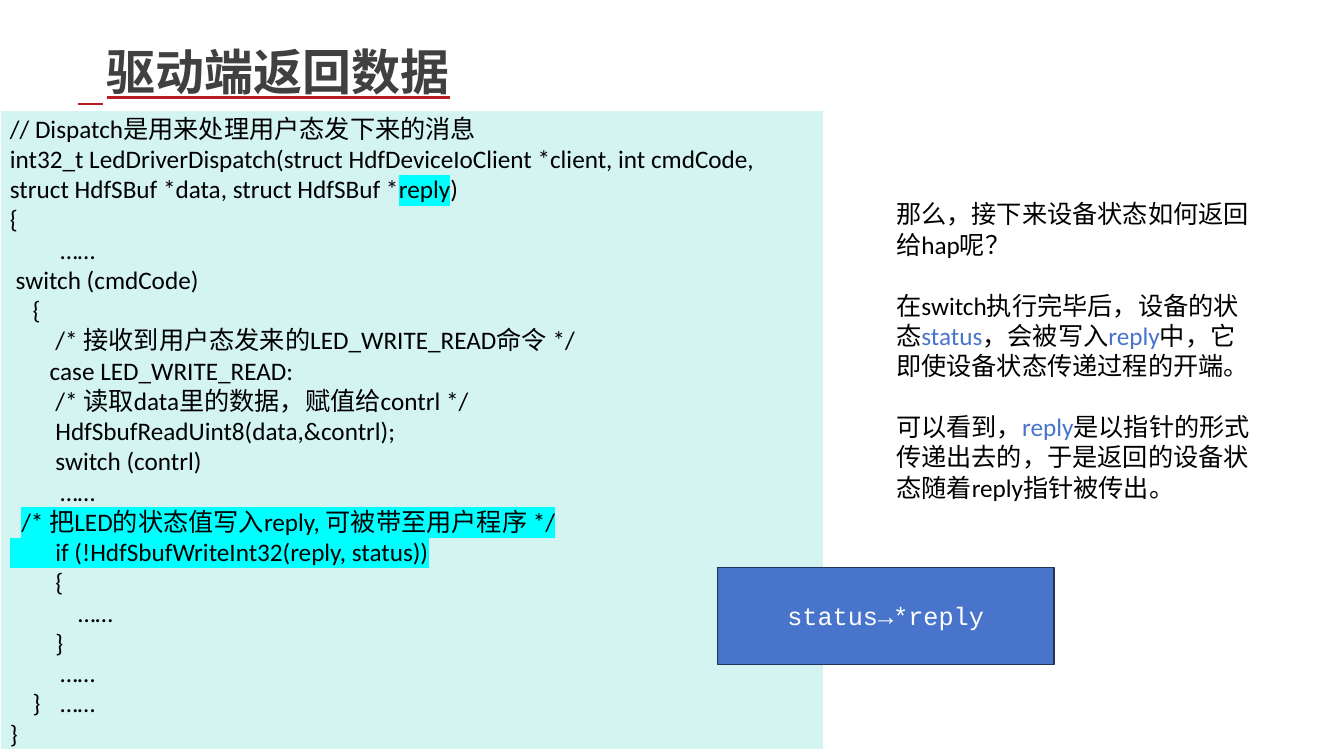
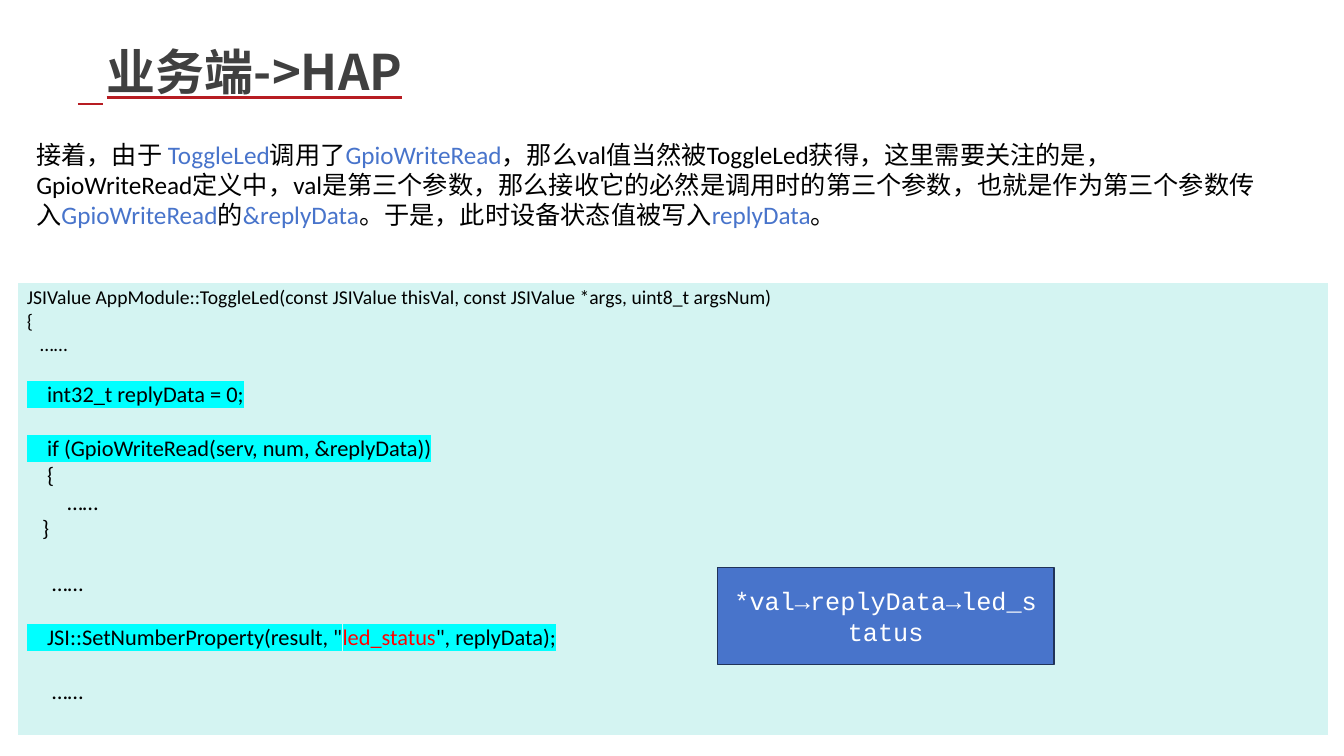
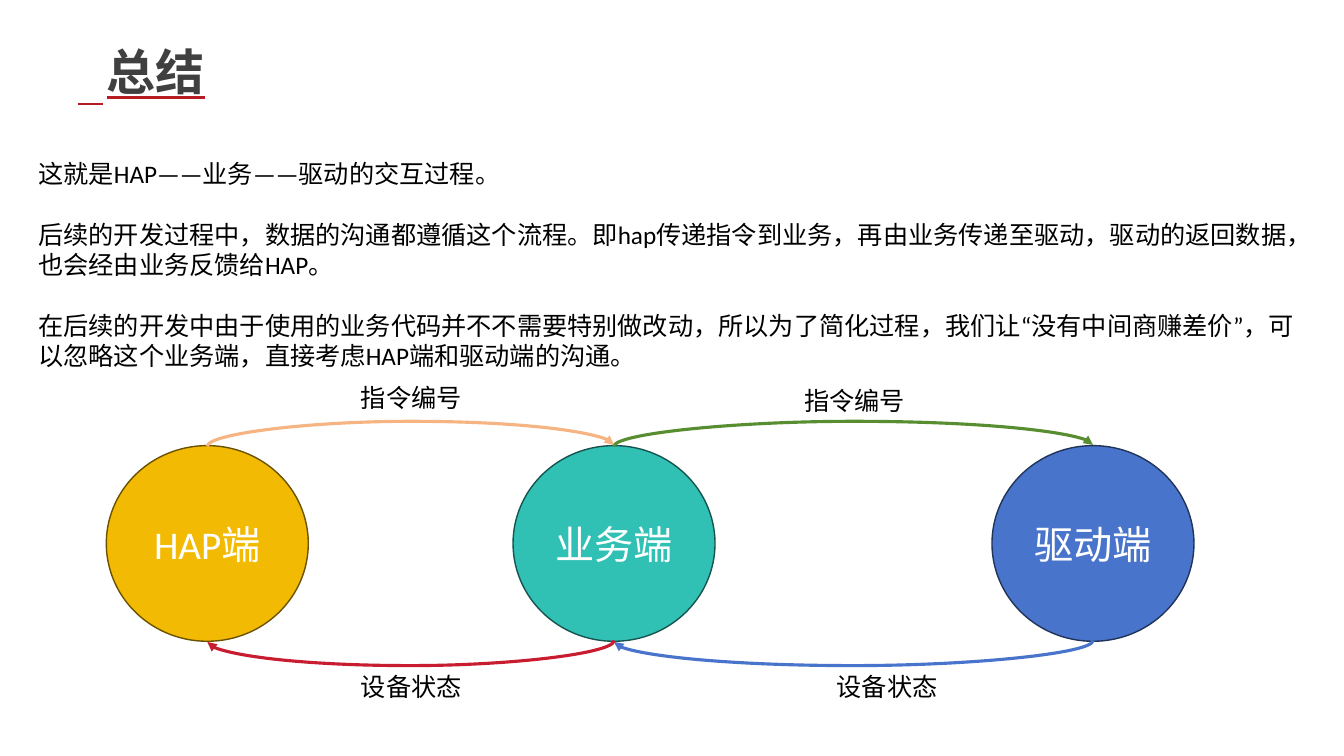
from dataclasses import dataclass

from lxml import etree
from pptx import Presentation
from pptx.dml.color import RGBColor
from pptx.enum.shapes import MSO_CONNECTOR, MSO_SHAPE
from pptx.enum.text import MSO_ANCHOR, MSO_AUTO_SIZE, PP_ALIGN
from pptx.oxml.ns import qn
from pptx.util import Cm, Pt

RECTANGLE, ELLIPSE = MSO_SHAPE.RECTANGLE, MSO_SHAPE.OVAL
STRAIGHT, CURVE = MSO_CONNECTOR.STRAIGHT, MSO_CONNECTOR.CURVE
TOP, MIDDLE = MSO_ANCHOR.TOP, MSO_ANCHOR.MIDDLE
LEFT, CENTER = PP_ALIGN.LEFT, PP_ALIGN.CENTER
NO_AUTOFIT = MSO_AUTO_SIZE.NONE
ELLIPSE_TOP, ELLIPSE_BOTTOM = 0, 4


@dataclass(frozen=True)
class Theme:
    text: str = "000000"
    title: str = "404040"
    underline: str = "B71C22"
    white: str = "FFFFFF"
    panel: str = "D4F4F2"
    marker: str = "00FFFF"
    alert: str = "FF0000"
    blue: str = "4874CB"
    blue_edge: str = "203359"
    gold: str = "F2BA02"
    gold_edge: str = "6A5201"
    teal: str = "30C0B4"
    teal_edge: str = "15544F"
    orange: str = "F5B482"
    green: str = "588E31"
    red: str = "C81D31"
    body_font: str = "Calibri"
    title_font: str = "Noto Sans CJK SC"
    code_font: str = "Courier New"
    title_size: int = 35
    node_size: int = 28
    body_size: int = 18
    code_size: int = 16
    small_size: int = 14
    line_height: float = 1.22


THEME = Theme()


@dataclass(frozen=True)
class Span:
    text: str
    color: str = ""
    marked: bool = False


def key(text):
    return Span(text, color=THEME.blue)


def mark(text, color=""):
    return Span(text, color, True)


def add_color(parent, tag, color):
    holder = etree.SubElement(parent, qn(tag))
    etree.SubElement(holder, qn("a:srgbClr"), val=color)


class Deck:
    def __init__(self, theme):
        self.theme = theme
        self.presentation = Presentation()
        self.presentation.slide_width = Cm(33.87)
        self.presentation.slide_height = Cm(19.05)
        self.slide = None

    def new_slide(self, title, prose_box, prose):
        layout = self.presentation.slide_layouts[1]
        self.slide = self.presentation.slides.add_slide(layout)
        self.title(title)
        self.prose(prose_box, prose)

    def place(self, shape, box):
        shape.left, shape.top, shape.width, shape.height = map(Cm, box)

    def style(self, paragraph, size, color, face, align=LEFT):
        paragraph.alignment = align
        font = paragraph.font
        font.size = Pt(size)
        font.color.rgb = RGBColor.from_string(color)
        font.name = face
        properties = paragraph._p.pPr.find(qn("a:defRPr"))
        etree.SubElement(properties, qn("a:ea"), typeface=face)
        return properties

    def frame(self, shape, anchor):
        frame = shape.text_frame
        frame.word_wrap = True
        frame.auto_size = NO_AUTOFIT
        frame.vertical_anchor = anchor
        return frame

    def set_text(self, frame, blocks, color=None, face=None, align=LEFT, plain=False):
        paragraph, gap = None, 0
        for size, lines in blocks:
            for line in lines:
                if not line:
                    gap += size * self.theme.line_height
                    continue
                paragraph = frame.add_paragraph() if paragraph else frame.paragraphs[0]
                paragraph.space_before = Pt(round(gap, 1))
                gap = 0
                if plain:
                    properties = paragraph._p.get_or_add_pPr()
                    properties.set("marL", "0")
                    properties.set("indent", "0")
                    etree.SubElement(properties, qn("a:buNone"))
                self.style(paragraph, size, color or self.theme.text,
                           face or self.theme.body_font, align)
                for span in [line] if isinstance(line, (str, Span)) else line:
                    self.span(paragraph, span)

    def span(self, paragraph, span):
        if isinstance(span, str):
            span = Span(span)
        run = paragraph.add_run()
        run.text = span.text
        if span.color:
            run.font.color.rgb = RGBColor.from_string(span.color)
        if span.marked:
            add_color(run._r.get_or_add_rPr(), "a:highlight", self.theme.marker)

    def title(self, text):
        title = self.slide.shapes.title
        self.place(title, (2.69, 1.04, 17, 1.8))
        frame = self.frame(title, TOP)
        frame.margin_left = frame.margin_right = 0
        frame.margin_top = frame.margin_bottom = 0
        heading = frame.paragraphs[0]
        heading.text = text
        properties = self.style(heading, self.theme.title_size, self.theme.title,
                                self.theme.title_font)
        heading.font.bold = True
        heading.font.underline = True
        underline = etree.Element(qn("a:uFill"))
        add_color(underline, "a:solidFill", self.theme.underline)
        properties.find(qn("a:latin")).addprevious(underline)
        self.connector(STRAIGHT, (1.96, 2.63, 2.59, 2.63), self.theme.underline, 1.5)

    def prose(self, box, lines):
        body = self.slide.placeholders[1]
        self.place(body, box)
        self.set_text(self.frame(body, TOP), [(self.theme.body_size, lines)], plain=True)

    def shape(self, kind, box, fill, edge):
        shape = self.slide.shapes.add_shape(kind, *map(Cm, box))
        shape.shadow.inherit = False
        shape.fill.solid()
        shape.fill.fore_color.rgb = RGBColor.from_string(fill)
        shape.line.color.rgb = RGBColor.from_string(edge)
        shape.line.width = Pt(1)
        return shape

    def code(self, box, *blocks):
        panel = self.shape(RECTANGLE, box, self.theme.panel, self.theme.white)
        frame = self.frame(panel, TOP)
        frame.margin_top = Cm(0.08)
        self.set_text(frame, blocks)

    def flow_note(self, text):
        note = self.shape(RECTANGLE, (18.08, 14.3, 8.48, 2.44),
                          self.theme.blue, self.theme.blue_edge)
        self.set_text(self.frame(note, MIDDLE), [(self.theme.body_size, [text])],
                      self.theme.white, self.theme.code_font, CENTER)

    def node(self, left, text, fill, edge):
        node = self.shape(ELLIPSE, (left, 11.23, 5.09, 4.93), fill, edge)
        self.set_text(self.frame(node, MIDDLE), [(self.theme.node_size, [text])],
                      self.theme.white, align=CENTER)
        return node

    def label(self, left, top, text):
        label = self.slide.shapes.add_textbox(Cm(left), Cm(top), Cm(3.25), Cm(1.02))
        self.set_text(self.frame(label, TOP), [(self.theme.body_size, [text])],
                      align=CENTER)

    def connector(self, kind, ends, color, width):
        connector = self.slide.shapes.add_connector(kind, *map(Cm, ends))
        connector.line.color.rgb = RGBColor.from_string(color)
        connector.line.width = Pt(width)
        etree.SubElement(connector._element.spPr, qn("a:effectLst"))
        return connector

    def arc(self, source, target, color):
        rises = source.left < target.left
        site = ELLIPSE_TOP if rises else ELLIPSE_BOTTOM
        arc = self.connector(CURVE, (0, 0, 1, 1), color, 2.25)
        start = source.left + source.width // 2
        end = target.left + target.width // 2
        level = source.top if rises else source.top + source.height
        arc.width, arc.height = Pt(1), abs(end - start)
        arc.left = (start + end - arc.width) // 2
        arc.top = level - arc.height // 2
        properties = arc._element.spPr
        transform = properties.find(qn("a:xfrm"))
        transform.set("rot", "5400000")
        if rises:
            transform.set("flipH", "1")
            transform.set("flipV", "1")
        bend = properties.find(qn("a:prstGeom")).find(qn("a:avLst"))
        etree.SubElement(bend, qn("a:gd"), name="adj1", fmla="val 1800000")
        etree.SubElement(properties.find(qn("a:ln")), qn("a:tailEnd"), type="triangle")
        joints = arc._element.nvCxnSpPr.find(qn("p:cNvCxnSpPr"))
        for tag, node in (("a:stCxn", source), ("a:endCxn", target)):
            etree.SubElement(joints, qn(tag), id=str(node.shape_id), idx=str(site))


def driver_slide(deck):
    deck.new_slide("驱动端返回数据", (22.33, 4.88, 9.58, 7.95), [
        "那么，接下来设备状态如何返回给hap呢？",
        "",
        ["在switch执行完毕后，设备的状态", key("status"), "，会被写入", key("reply"),
         "中，它即使设备状态传递过程的开端。"],
        "",
        ["可以看到，", key("reply"),
         "是以指针的形式传递出去的，于是返回的设备状态随着reply指针被传出。"],
    ])
    deck.code((0, 2.77, 20.75, 16.13), (THEME.body_size, [
        "// Dispatch是用来处理用户态发下来的消息",
        ["int32_t LedDriverDispatch(struct HdfDeviceIoClient *client, int cmdCode, "
         "struct HdfSBuf *data, struct HdfSBuf *", mark("reply"), ")"],
        "{",
        "\t……",
        " switch (cmdCode)",
        "    {",
        "        /* 接收到用户态发来的LED_WRITE_READ命令 */",
        "       case LED_WRITE_READ:",
        "        /* 读取data里的数据，赋值给contrl */",
        "        HdfSbufReadUint8(data,&contrl);",
        "        switch (contrl)",
        "\t……",
        ["  ", mark("/* 把LED的状态值写入reply, 可被带至用户程序 */")],
        mark("        if (!HdfSbufWriteInt32(reply, status))"),
        "        {",
        "            ……",
        "        }",
        "\t……",
        "    }\t……",
        "}",
    ]))
    deck.flow_note("status→*reply")


def service_slide(deck):
    deck.new_slide("业务端->HAP", (0.66, 3.38, 31.5, 2.57), [
        ["接着，由于 ", key("ToggleLed"), "调用了", key("GpioWriteRead"),
         "，那么val值当然被ToggleLed获得，这里需要关注的是，GpioWriteRead定义中，"
         "val是第三个参数，那么接收它的必然是调用时的第三个参数，也就是作为第三个参数传入",
         key("GpioWriteRead"), "的", key("&replyData"),
         "。于是，此时设备状态值被写入", key("replyData"), "。"],
    ])
    signature = [
        "JSIValue AppModule::ToggleLed(const JSIValue thisVal, "
        "const JSIValue *args, uint8_t argsNum)",
        "{",
        "   ……",
        "",
    ]
    statements = [
        mark("    int32_t replyData = 0;"),
        "",
        mark("    if (GpioWriteRead(serv, num, &replyData))"),
        "    {",
        "        ……",
        "   }",
        "",
        "     ……",
        "",
        [mark("    JSI::SetNumberProperty(result, \""), mark("led_status", THEME.alert),
         mark("\", replyData);")],
        "",
        "     ……",
    ]
    deck.code((0.43, 7.11, 33.05, 11.43),
              (THEME.small_size, signature), (THEME.code_size, statements))
    deck.flow_note("*val→replyData→led_status")


def summary_slide(deck):
    deck.new_slide("总结", (0.71, 3.86, 32.44, 5.64), [
        "这就是HAP——业务——驱动的交互过程。",
        "",
        "后续的开发过程中，数据的沟通都遵循这个流程。即hap传递指令到业务，"
        "再由业务传递至驱动，驱动的返回数据，也会经由业务反馈给HAP。",
        "",
        "在后续的开发中由于使用的业务代码并不不需要特别做改动，所以为了简化过程，"
        "我们让“没有中间商赚差价”，可以忽略这个业务端，直接考虑HAP端和驱动端的沟通。",
    ])
    hap = deck.node(2.68, "HAP端", THEME.gold, THEME.gold_edge)
    service = deck.node(12.93, "业务端", THEME.teal, THEME.teal_edge)
    driver = deck.node(25, "驱动端", THEME.blue, THEME.blue_edge)
    for source, target, color in (
        (hap, service, THEME.orange),
        (service, driver, THEME.green),
        (driver, service, THEME.blue),
        (service, hap, THEME.red),
    ):
        deck.arc(source, target, color)
    for left, top, text in (
        (8.74, 9.52, "指令编号"),
        (19.91, 9.58, "指令编号"),
        (8.74, 16.79, "设备状态"),
        (20.73, 16.79, "设备状态"),
    ):
        deck.label(left, top, text)


def main():
    deck = Deck(THEME)
    driver_slide(deck)
    service_slide(deck)
    summary_slide(deck)
    deck.presentation.save("out.pptx")


if __name__ == "__main__":
    main()
